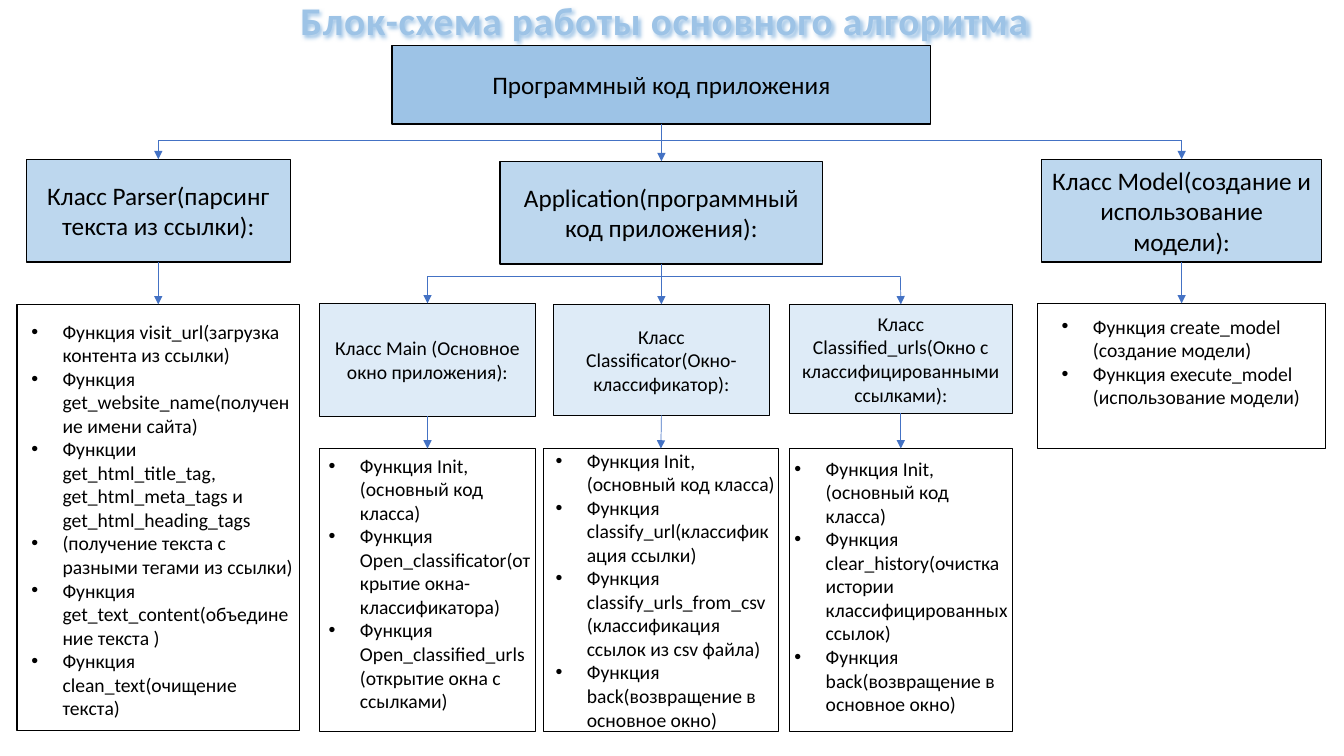
from lxml.etree import SubElement
from pptx import Presentation
from pptx.dml.color import RGBColor
from pptx.enum.shapes import MSO_CONNECTOR as LINE, MSO_SHAPE as SHAPE
from pptx.enum.text import MSO_ANCHOR as ANCHOR, MSO_AUTO_SIZE as FIT, PP_ALIGN as ALIGN
from pptx.oxml import parse_xml
from pptx.oxml.ns import nsdecls, qn
from pptx.util import Inches, Pt

BLACK = RGBColor(0x00, 0x00, 0x00)
WHITE = RGBColor(0xFF, 0xFF, 0xFF)
TITLE_BLUE = RGBColor(0x9D, 0xC3, 0xE6)
CLASS_BLUE = RGBColor(0xBD, 0xD7, 0xEE)
WINDOW_BLUE = RGBColor(0xDE, 0xEB, 0xF7)
ARROW_BLUE = RGBColor(0x44, 0x72, 0xC4)
TOP, BOTTOM = 0, 2


def write(sp, at, *lines, size=14, color=BLACK, bold=False, fill=None,
          align=ALIGN.CENTER, anchor=ANCHOR.MIDDLE, bullet=False,
          insets=(0.1, 0.05, 0.1)):
    """Place a shape, frame it if it has a fill, and fill in its text."""
    sp.left, sp.top, sp.width, sp.height = [Inches(v) for v in at]
    sp.shadow.inherit = False
    if fill is not None:
        sp.fill.solid()
        sp.fill.fore_color.rgb = fill
        sp.line.color.rgb = BLACK
        sp.line.width = Pt(1)
    tf = sp.text_frame
    tf.word_wrap, tf.auto_size, tf.vertical_anchor = True, FIT.NONE, anchor
    tf.margin_left, tf.margin_top, tf.margin_right = [Inches(v) for v in insets]
    tf.margin_bottom = 0 if bullet else Inches(0.05)
    for i, line in enumerate(lines):
        p = tf.paragraphs[0] if i == 0 else tf.add_paragraph()
        p.alignment, p.line_spacing = align, 1.0
        p.space_before = p.space_after = Pt(0)
        r = p.add_run()
        r.text = line
        r.font.name, r.font.size, r.font.bold = "Calibri", Pt(size), bold
        r.font.color.rgb = color
        if bullet:
            pPr = p._p.get_or_add_pPr()
            pPr.set("marL", str(Inches(0.31)))
            pPr.set("indent", str(-Inches(0.31)))
            SubElement(pPr, qn("a:buFont"), typeface="Arial")
            SubElement(pPr, qn("a:buChar"), char="•")
    return sp


def connect(start, end, source=None, target=None, head=True):
    """Draw a line between two points, joined to the boxes that are given."""
    cx = s.shapes.add_connector(LINE.STRAIGHT, *[Inches(v) for v in (*start, *end)])
    if source is not None:
        cx.begin_connect(source, BOTTOM)
    if target is not None:
        cx.end_connect(target, TOP)
    cx.line.color.rgb = ARROW_BLUE
    cx.line.width = Pt(0.5)
    if head:
        SubElement(cx.line._get_or_add_ln(), qn("a:tailEnd"), type="triangle")
    SubElement(cx._element.spPr, qn("a:effectLst"))


prs = Presentation()
prs.slide_width, prs.slide_height = Inches(13.33), Inches(7.5)
s = prs.slides.add_slide(prs.slide_layouts[4])
title, *list_slots = s.placeholders

# Title with a thin outline and a soft shadow
write(title, (2.88, -0.09, 8.87, 0.57), "Блок-схема работы основного алгоритма",
      size=28, color=TITLE_BLUE, bold=True, align=ALIGN.LEFT)
rPr = title.text_frame.paragraphs[0].runs[0]._r.get_or_add_rPr()
rPr.set("spc", "50")
rPr.insert(0, parse_xml(
    f'<a:ln {nsdecls("a")} w="9525"><a:solidFill><a:srgbClr val="5B9BD5"/></a:solidFill></a:ln>'))
title._element.spPr.find(qn("a:effectLst")).append(parse_xml(
    f'<a:outerShdw {nsdecls("a")} blurRad="38100" dist="22860" dir="2700000">'
    '<a:srgbClr val="9DC3E6"/></a:outerShdw>'))

# Heading boxes: position, fill, text size, text
headings = {
    "root": ((3.89, 0.45, 5.34, 0.78), TITLE_BLUE, 18, "Программный код приложения"),
    "parser": ((0.26, 1.58, 2.62, 1.02), CLASS_BLUE, 18,
               "Класс Parser(парсинг текста из ссылки):"),
    "app": ((4.96, 1.6, 3.2, 1.02), CLASS_BLUE, 18,
            "Application(программный код приложения):"),
    "model": ((10.33, 1.58, 2.78, 1.02), CLASS_BLUE, 18,
              "Класс Model(создание и использование модели):"),
    "main": ((3.17, 3.01, 2.14, 1.12), WINDOW_BLUE, 14,
             "Класс Main (Основное окно приложения):"),
    "classificator": ((5.49, 3.02, 2.14, 1.1), WINDOW_BLUE, 14,
                      "Класс Classificator(Окно-классификатор):"),
    "urls": ((7.83, 3.02, 2.21, 1.08), WINDOW_BLUE, 14,
             "Класс Classified_urls(Окно с классифицированными ссылками):"),
}
boxes = {}
for name, (at, fill, size, text) in headings.items():
    sp = s.shapes.add_shape(SHAPE.RECTANGLE, 0, 0, 0, 0)
    boxes[name] = write(sp, at, text, size=size, fill=fill)

# Function lists under each class: position, left/top/right insets, items
INIT = "Функция Init, (основный код класса)"
BACK = "Функция back(возвращение в основное окно)"
functions = {
    "parser": ((0.17, 3.02, 2.8, 4.23), (0.14, 0.15, 0.05), [
        "Функция visit_url(загрузка контента из ссылки)",
        "Функция get_website_name(получение имени сайта)",
        "Функции get_html_title_tag, get_html_meta_tags и get_html_heading_tags",
        "(получение текста с разными тегами из ссылки)",
        "Функция get_text_content(объединение текста )",
        "Функция clean_text(очищение текста)"]),
    "main": ((3.17, 4.45, 2.14, 2.81), (0.09, 0.05, 0), [
        INIT,
        "Функция Open_classificator(открытие окна-классификатора)",
        "Функция Open_classified_urls (открытие окна с ссылками)"]),
    "classificator": ((5.39, 4.45, 2.33, 2.81), (0.12, 0, 0.02), [
        INIT,
        "Функция classify_url(классификация ссылки)",
        "Функция classify_urls_from_csv (классификация ссылок из csv файла)",
        BACK]),
    "urls": ((7.83, 4.45, 2.21, 2.81), (0.05, 0.08, 0), [
        INIT,
        "Функция clear_history(очистка истории классифицированных ссылок)",
        BACK]),
    "model": ((10.29, 3.01, 2.86, 1.44), (0.24, 0.11, 0.25), [
        "Функция create_model (создание модели)",
        "Функция execute_model (использование модели)"]),
}
for name, (at, insets, items) in functions.items():
    # The layout has four body placeholders; the fifth list is a plain box
    sp = list_slots.pop(0) if list_slots else s.shapes.add_shape(SHAPE.RECTANGLE, 0, 0, 0, 0)
    write(sp, at, *items, fill=WHITE, align=ALIGN.LEFT, anchor=ANCHOR.TOP,
          bullet=True, insets=insets)
    connect((0, 0), (0, 0), boxes[name], sp)

# Branches: parent, middle child, height of the crossbar, outer children
branches = [
    ("root", "app", 1.39, {"parser": 1.57, "model": 11.72}),
    ("app", "classificator", 2.74, {"main": 4.24, "urls": 8.93}),
]
for parent, middle, y, outer in branches:
    connect((0, 0), (0, 0), boxes[parent], boxes[middle])
    left, right = outer.values()
    connect((right, y), (left, y), head=False)
    for child, x in outer.items():
        connect((x, y), (x, y), target=boxes[child])

prs.save("out.pptx")
